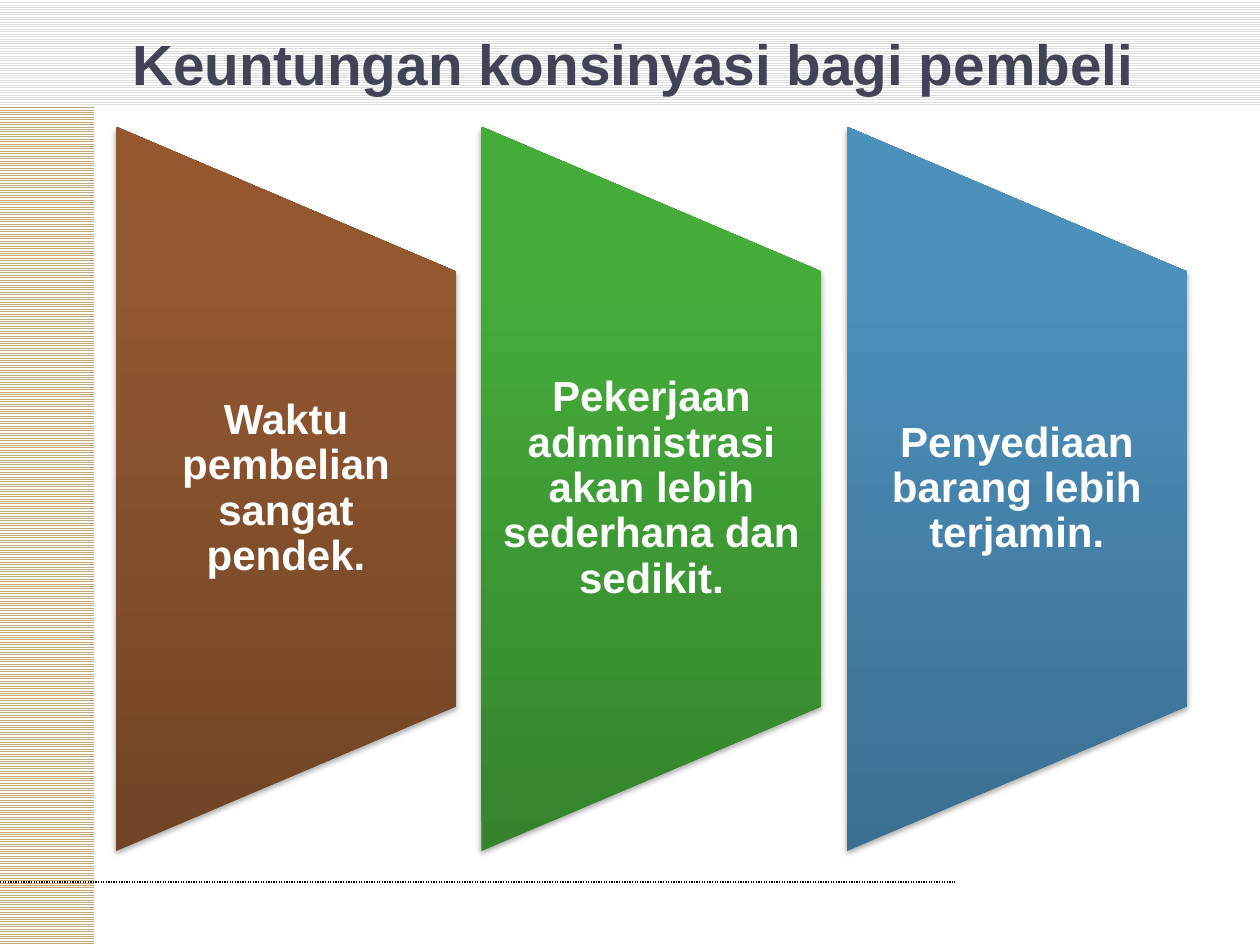
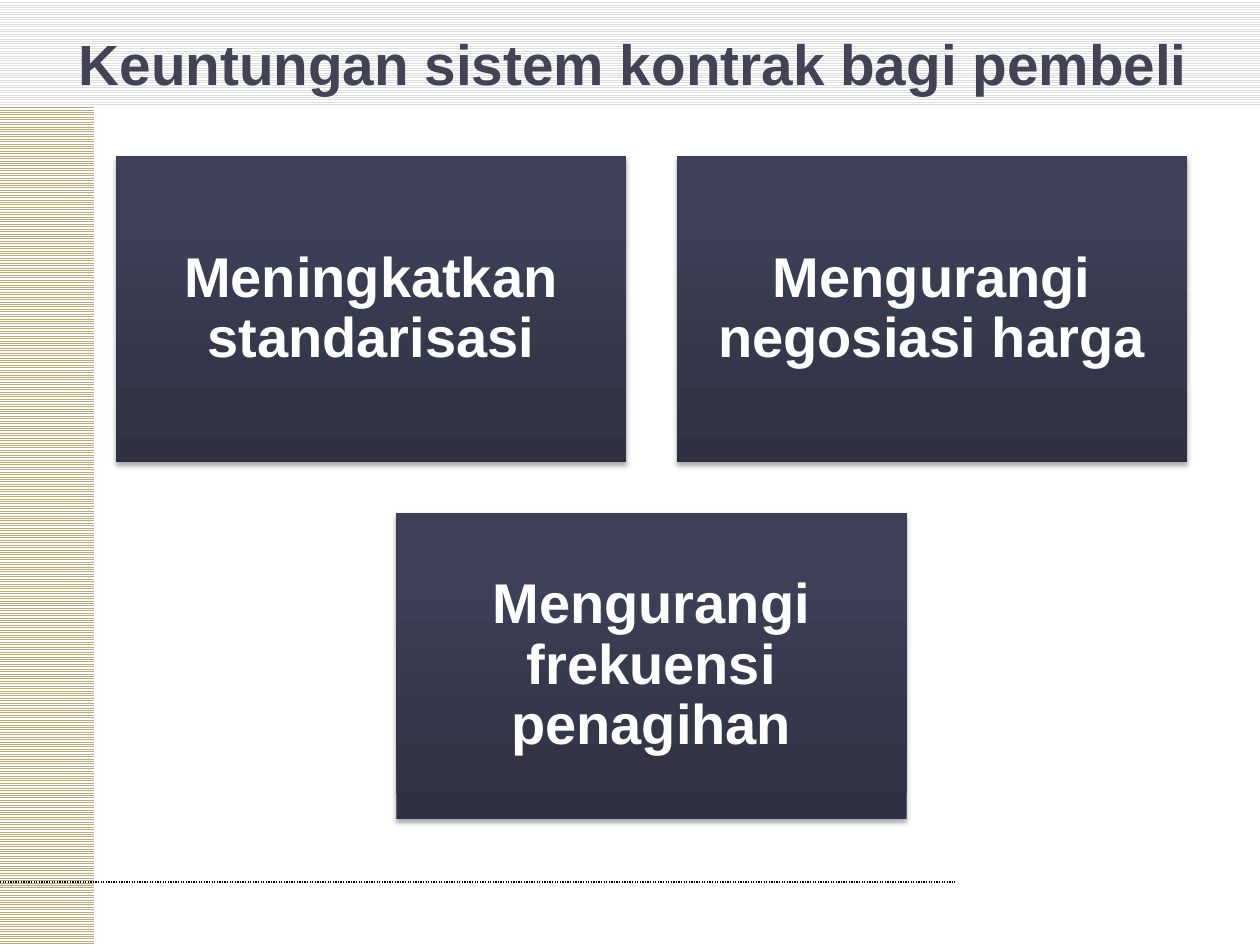
from copy import deepcopy

from pptx import Presentation
from pptx.dml.color import RGBColor as RGB
from pptx.enum.dml import MSO_LINE, MSO_PATTERN
from pptx.enum.shapes import MSO_CONNECTOR, MSO_SHAPE as SHP
from pptx.enum.text import MSO_ANCHOR, MSO_AUTO_SIZE, PP_ALIGN
from pptx.oxml import parse_xml
from pptx.oxml.ns import nsdecls, qn
from pptx.util import Pt

COLORS = {
    "white": "FFFFFF", "black": "000000", "title": "424456",
    "top_band": "DEDEDE", "side_band": "C2A874",
}
GRADIENTS = {
    "brown": ("704425", "925830", "95582E"),
    "green": ("35842C", "45AC3A", "43AF38"),
    "blue": ("3B6F91", "4C90BC", "4A91BF"),
    "navy": ("2F3142", "3D4056", "3D3F57"),
}
STOPS = (0, 0.8, 1)
LEFT = 66.24
TITLE = {"size": Pt(32.4), "name": "Arial", "bold": True}
PANEL = {"size": Pt(24), "name": "Arial", "bold": True}
CARD = {"size": Pt(32), "name": "Arial", "bold": True}
SHADOW = (
    f'<a:outerShdw {nsdecls("a")} blurRad="{Pt(3.1)}" dist="{Pt(1.8)}" '
    'dir="5400000" rotWithShape="0"><a:srgbClr val="000000">'
    '<a:alpha val="35000"/></a:srgbClr></a:outerShdw>'
)


def color(name):
    return RGB.from_string(COLORS[name])


def write(sp, text, fmt, font_color, insets, spacing=None):
    tf = sp.text_frame
    frame = {"word_wrap": True, "auto_size": MSO_AUTO_SIZE.NONE,
             "vertical_anchor": MSO_ANCHOR.MIDDLE}
    sides = ("margin_left", "margin_top", "margin_right", "margin_bottom")
    frame.update(zip(sides, map(Pt, insets)))
    for key, value in frame.items():
        setattr(tf, key, value)
    p = tf.paragraphs[0]
    p.alignment = PP_ALIGN.CENTER
    p.line_spacing = spacing
    r = p.add_run()
    r.text = text
    for key, value in fmt.items():
        setattr(r.font, key, value)
    r.font.color.rgb = color(font_color)


def add_band(s, name, *box):
    sp = s.shapes.add_shape(SHP.RECTANGLE, *map(Pt, box))
    sp.shadow.inherit = False
    sp.line.fill.background()
    sp.fill.patterned()
    sp.fill.pattern = MSO_PATTERN.LIGHT_HORIZONTAL
    sp.fill.fore_color.rgb = color(name)
    sp.fill.back_color.rgb = color("white")
    return sp


def add_footer_rule(s):
    rule = s.shapes.add_connector(MSO_CONNECTOR.STRAIGHT, 0, Pt(504), Pt(545.76), Pt(504))
    rule.line.color.rgb = color("black")
    rule.line.width = Pt(0.75)
    rule.line.dash_style = MSO_LINE.ROUND_DOT
    rule.element.spPr.append(parse_xml(f'<a:effectLst {nsdecls("a")}/>'))
    return rule


def move_to_layout(layout, shapes):
    for i, sp in enumerate(shapes):
        layout.shapes.element.insert(2 + i, sp.element)


def add_titled_slide(prs, layout, text):
    s = prs.slides.add_slide(layout)
    title = s.shapes.title
    box = {"left": 36, "top": 18, "width": 651.6, "height": 36}
    for key, value in box.items():
        setattr(title, key, Pt(value))
    write(title, text, TITLE, "title", (3.6, 0, 3.6, 0))
    return s


def add_gradient_shape(s, kind, gradient, *box):
    sp = s.shapes.add_shape(kind, *map(Pt, box))
    sp.line.fill.background()
    sp.fill.gradient()
    sp.fill.gradient_angle = 90
    grad = sp.element.spPr.find(qn("a:gradFill"))
    grad.set("rotWithShape", "0")
    stops = grad.find(qn("a:gsLst"))
    stops.append(deepcopy(stops[0]))
    for stop, position, rgb in zip(sp.fill.gradient_stops, STOPS, GRADIENTS[gradient]):
        stop.position = position
        stop.color.rgb = RGB.from_string(rgb)
    sp.shadow.inherit = False
    sp.element.spPr.find(qn("a:effectLst")).append(parse_xml(SHADOW))
    return sp


def add_panels(s, panels):
    width, height, gap, middle = 194.4, 414, 14.4, 279.36
    text_height = height * 0.6
    for i, (gradient, text) in enumerate(panels):
        x = LEFT + i * (width + gap)
        sp = add_gradient_shape(s, SHP.FLOWCHART_MANUAL_OPERATION, gradient,
                                x + (width - height) / 2, middle - width / 2, height, width)
        sp.rotation = 270
        label = s.shapes.add_textbox(Pt(x), Pt(middle - text_height / 2),
                                     Pt(width), Pt(text_height))
        write(label, text, PANEL, "white", (12, 0, 12, 0), 0.9)


def add_cards(s, rows):
    width, height, gap, top = 291.6, 174.96, 28.8, 89.28
    center = LEFT + width + gap / 2
    for i, row in enumerate(rows):
        x = center - (len(row) * (width + gap) - gap) / 2
        for j, text in enumerate(row):
            sp = add_gradient_shape(s, SHP.RECTANGLE, "navy", x + j * (width + gap),
                                    top + i * (height + gap), width, height)
            write(sp, text, CARD, "white", (9.6,) * 4, 0.9)


def main():
    prs = Presentation()
    prs.slide_width, prs.slide_height = Pt(720), Pt(540)
    layout = prs.slide_layouts[5]

    s = add_titled_slide(prs, layout, "Keuntungan konsinyasi bagi pembeli")
    move_to_layout(layout, [
        add_band(s, "top_band", 0, 0, 720, 60),
        add_band(s, "side_band", 0, 60, 54, 480),
        add_footer_rule(s),
    ])
    add_panels(s, [
        ("brown", "Waktu pembelian sangat pendek."),
        ("green", "Pekerjaan administrasi akan lebih sederhana dan sedikit."),
        ("blue", "Penyediaan barang lebih terjamin."),
    ])

    s = add_titled_slide(prs, layout, "Keuntungan sistem kontrak bagi pembeli")
    add_cards(s, [
        ("Meningkatkan standarisasi", "Mengurangi negosiasi harga"),
        ("Mengurangi frekuensi penagihan",),
    ])
    prs.save("out.pptx")


if __name__ == "__main__":
    main()
